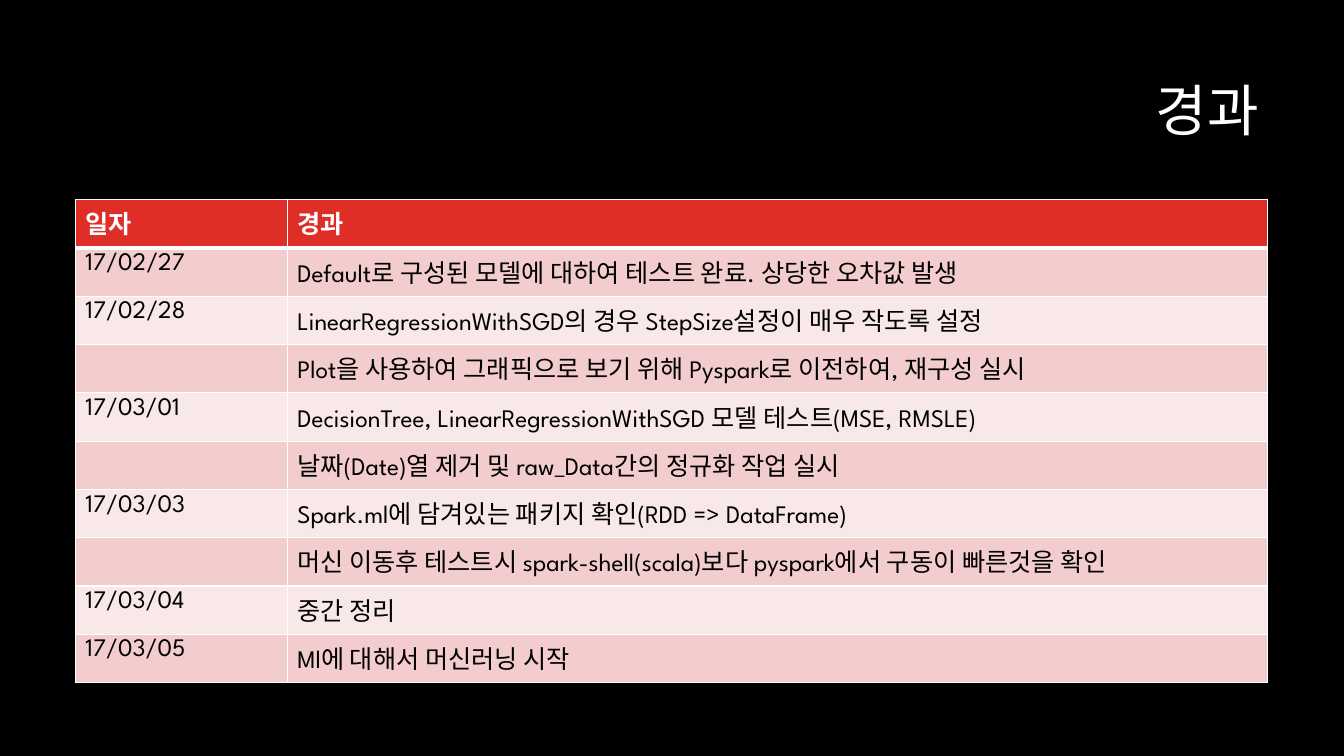
import pptx
import pptx.util
import pptx.dml.color
import pptx.enum.text
import pptx.oxml
import pptx.oxml.ns
from pptx.util import Cm

FONT = "League Spartan"
ROWS = [
    ("일자", "경과"),
    ("17/02/27", "Default로 구성된 모델에 대하여 테스트 완료. 상당한 오차값 발생"),
    ("17/02/28", "LinearRegressionWithSGD의 경우 StepSize설정이 매우 작도록 설정"),
    ("", "Plot을 사용하여 그래픽으로 보기 위해 Pyspark로 이전하여, 재구성 실시"),
    ("17/03/01", "DecisionTree, LinearRegressionWithSGD 모델 테스트(MSE, RMSLE)"),
    ("", "날짜(Date)열 제거 및 raw_Data간의 정규화 작업 실시"),
    ("17/03/03", "Spark.ml에 담겨있는 패키지 확인(RDD => DataFrame)"),
    ("", "머신 이동후 테스트시 spark-shell(scala)보다 pyspark에서 구동이 빠른것을 확인"),
    ("17/03/04", "중간 정리"),
    ("17/03/05", "Ml에 대해서 머신러닝 시작"),
]


def rgb(color):
    return pptx.dml.color.RGBColor.from_string(color)


def add_border(cell, side, points):
    cell._tc.get_or_add_tcPr().append(pptx.oxml.parse_xml(
        f'<a:ln{side} {pptx.oxml.ns.nsdecls("a")} w="{pptx.util.Pt(points)}">'
        f'<a:solidFill><a:srgbClr val="FFFFFF"/></a:solidFill></a:ln{side}>'))


prs = pptx.Presentation()
prs.slide_width, prs.slide_height = Cm(33.87), Cm(19.05)
s = prs.slides.add_slide(prs.slide_layouts[5])
s.background.fill.solid()
s.background.fill.fore_color.rgb = rgb("000000")

# Title
title = s.shapes.title
title.left, title.top, title.width, title.height = Cm(8.05), Cm(1.07), Cm(23.93), Cm(3.58)
tf = title.text_frame
tf.text = "경과"
tf.vertical_anchor = pptx.enum.text.MSO_ANCHOR.MIDDLE
p = tf.paragraphs[0]
p.alignment = pptx.enum.text.PP_ALIGN.RIGHT
p.line_spacing = 0.9
p.font.name, p.font.size = FONT, pptx.util.Pt(40)
p.font.color.rgb = rgb("FFFFFF")

# Progress table
row_height = Cm(1.217)
table = s.shapes.add_table(len(ROWS), 2, Cm(1.9), Cm(5.03), Cm(30.05), row_height * len(ROWS)).table
table.columns[0].width, table.columns[1].width = Cm(5.34), Cm(24.71)

for i, texts in enumerate(ROWS):
    table.rows[i].height = row_height
    header = i == 0
    fill = "DF2E28" if header else ("F9E8E8", "F3CDCD")[i % 2]
    for j, text in enumerate(texts):
        cell = table.cell(i, j)
        # Heavier rule between the header and the body
        for side, points in (("L", 1), ("R", 1), ("T", 3 if i == 1 else 1), ("B", 3 if header else 1)):
            add_border(cell, side, points)
        cell.fill.solid()
        cell.fill.fore_color.rgb = rgb(fill)
        cell.text = text
        p = cell.text_frame.paragraphs[0]
        p.font.name, p.font.size = FONT, pptx.util.Pt(18)
        p.font.bold = header
        p.font.color.rgb = rgb("FFFFFF" if header else "000000")

prs.save("out.pptx")
